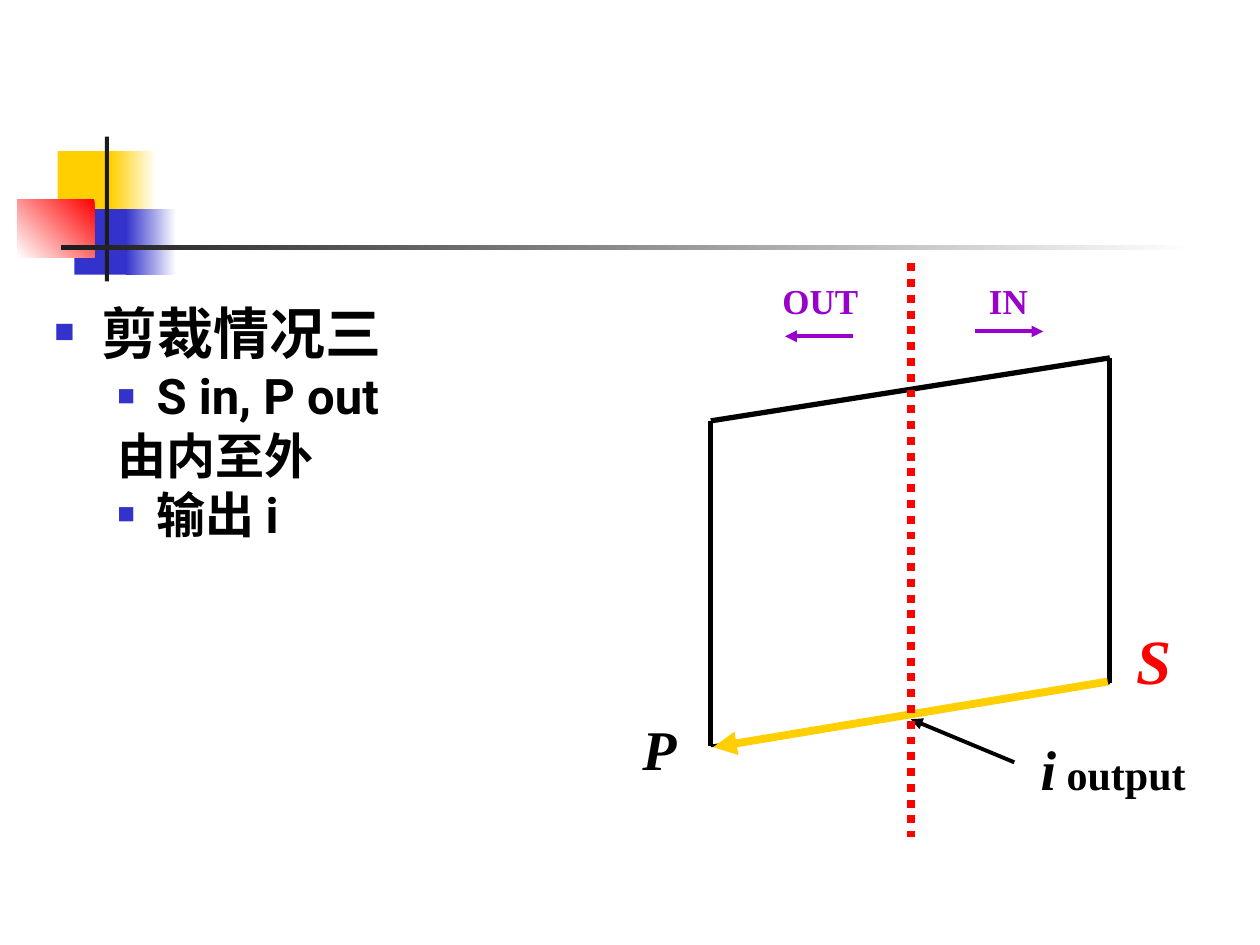
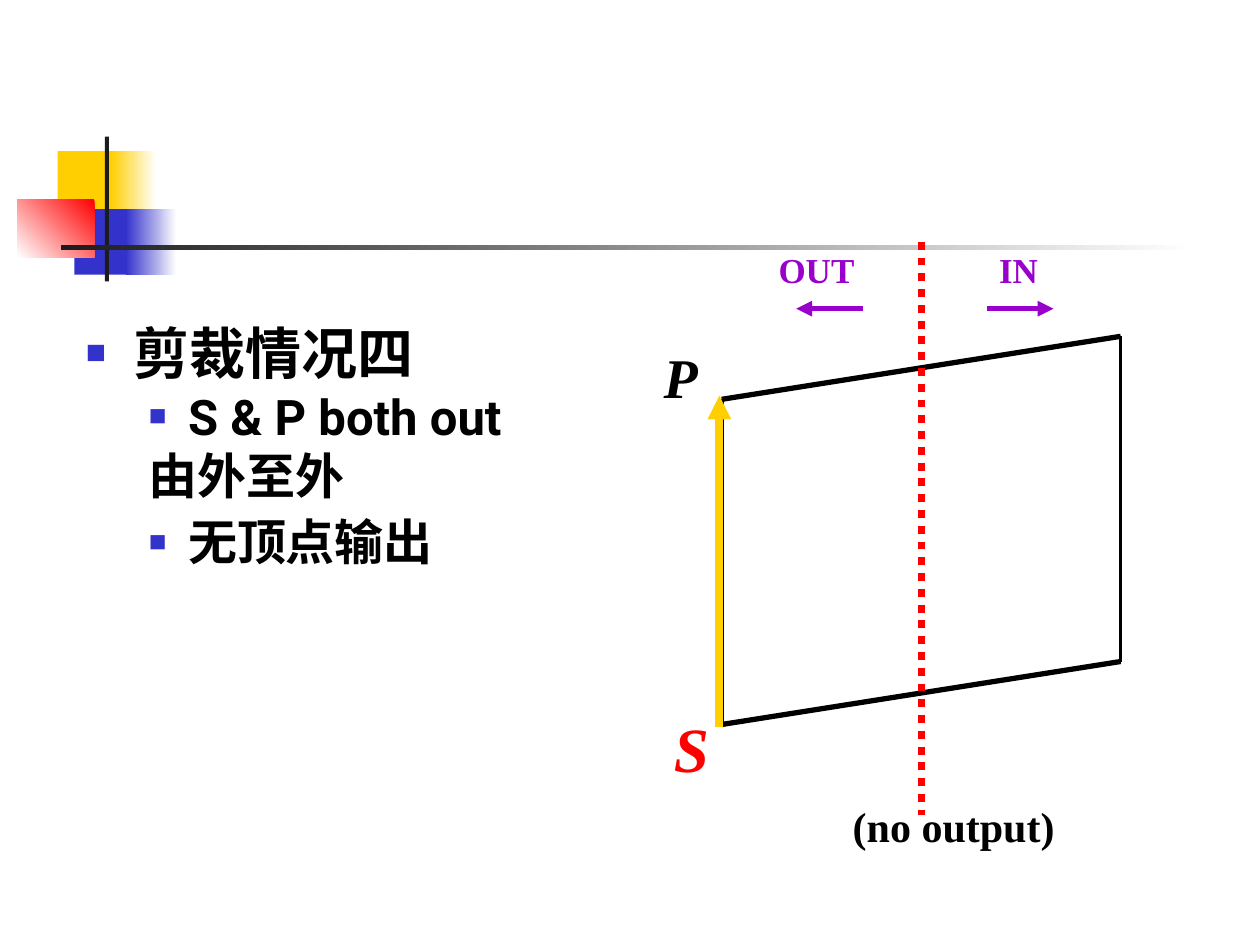
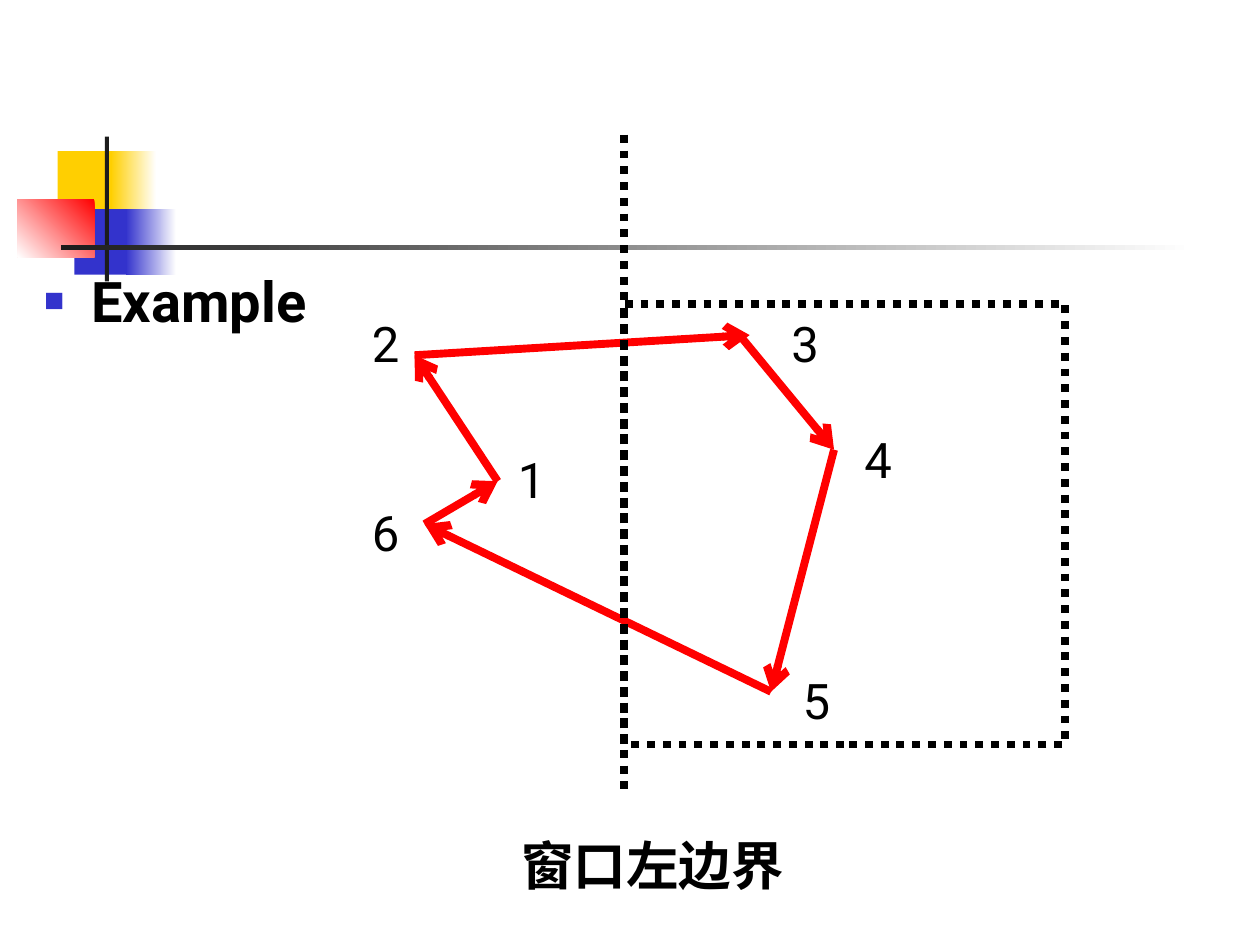
from typing import NamedTuple

from lxml import etree
from pptx import Presentation
from pptx.dml.color import RGBColor
from pptx.enum.dml import MSO_LINE
from pptx.enum.shapes import MSO_CONNECTOR, MSO_SHAPE
from pptx.enum.text import MSO_ANCHOR, MSO_AUTO_SIZE, PP_ALIGN
from pptx.oxml.ns import qn
from pptx.slide import Slide
from pptx.util import Pt

STRAIGHT = MSO_CONNECTOR.STRAIGHT
RECTANGLE = MSO_SHAPE.RECTANGLE
DOTTED = MSO_LINE.ROUND_DOT
FIT_SHAPE = MSO_AUTO_SIZE.SHAPE_TO_FIT_TEXT
FIXED = MSO_AUTO_SIZE.NONE
MIDDLE = MSO_ANCHOR.MIDDLE
TOP = MSO_ANCHOR.TOP
CENTER = PP_ALIGN.CENTER
LEFT = PP_ALIGN.LEFT

COLORS = {
    "black": "000000",
    "white": "FFFFFF",
    "charcoal": "1C1C1C",
    "yellow": "FFCF01",
    "blue": "3333CC",
    "red": "FF0000",
    "purple": "9900CC",
}
SANS = "Roboto"
SERIF = "Times New Roman"

Point = tuple[float, float]


class Band(NamedTuple):
    left: float
    top: float
    width: float
    height: float
    color: str
    fade_to: str = ""
    angle: int = 180


class Stroke(NamedTuple):
    begin: Point
    end: Point
    color: str = "black"
    width: float = 3
    arrow: str = ""
    dotted: bool = False


class Words(NamedTuple):
    text: str
    size: float
    color: str = "black"
    font: str = SERIF
    bold: bool = True
    italic: bool = False


class Label(NamedTuple):
    left: float
    top: float
    width: float
    height: float
    words: tuple[Words, ...]
    inset: Point = (7.2, 3.6)
    wrap: bool = False
    centered: bool = False


class Item(NamedTuple):
    text: str
    level: int = 1
    bullet: bool = True
    space_before: float = 7


class Level(NamedTuple):
    margin: float
    hang: float
    size: float


LEVELS = (Level(27, 27, 32), Level(58.5, 22.5, 28))

BANDS = (
    Band(33, 86.4, 34.6, 37.4, "yellow"),
    Band(63.4, 86.4, 25.9, 37.4, "white", "yellow"),
    Band(42.5, 119.5, 33.1, 37.4, "blue"),
    Band(72, 119.5, 28.8, 37.4, "white", "blue"),
    Band(10, 113.8, 44, 33.1, "red", "white", 225),
    Band(60, 78, 2.2, 82.8, "charcoal"),
    Band(34.6, 140.2, 648, 2.5, "white", "charcoal"),
)


def rgb(name: str) -> RGBColor:
    return RGBColor.from_string(COLORS[name])


def draw_band(slide: Slide, band: Band) -> None:
    shape = slide.shapes.add_shape(
        RECTANGLE, Pt(band.left), Pt(band.top), Pt(band.width), Pt(band.height))
    shape.shadow.inherit = False
    shape.line.fill.background()
    if not band.fade_to:
        shape.fill.solid()
        shape.fill.fore_color.rgb = rgb(band.color)
        return
    shape.fill.gradient()
    shape.fill.gradient_angle = band.angle
    for stop, color in zip(shape.fill.gradient_stops, (band.color, band.fade_to)):
        stop.color.rgb = rgb(color)


def draw_stroke(slide: Slide, stroke: Stroke) -> None:
    connector = slide.shapes.add_connector(
        STRAIGHT, *(Pt(value) for value in stroke.begin + stroke.end))
    line = connector.line
    line.color.rgb = rgb(stroke.color)
    line.width = Pt(stroke.width)
    if stroke.dotted:
        line.dash_style = DOTTED
    properties = connector.element.spPr
    if stroke.arrow:
        etree.SubElement(properties.find(qn("a:ln")), qn("a:tailEnd"), type=stroke.arrow)
    etree.SubElement(properties, qn("a:effectLst"))


def add_words(paragraph, words: Words) -> None:
    run = paragraph.add_run()
    run.text = words.text
    run.font.name = words.font
    run.font.size = Pt(words.size)
    run.font.bold = words.bold
    run.font.italic = words.italic
    run.font.color.rgb = rgb(words.color)


def draw_label(slide: Slide, label: Label) -> None:
    frame = slide.shapes.add_textbox(
        Pt(label.left), Pt(label.top), Pt(label.width), Pt(label.height)).text_frame
    frame.word_wrap = label.wrap
    frame.auto_size = FIT_SHAPE
    frame.margin_left = frame.margin_right = Pt(label.inset[0])
    frame.margin_top = frame.margin_bottom = Pt(label.inset[1])
    frame.vertical_anchor = MIDDLE if label.centered else TOP
    paragraph = frame.paragraphs[0]
    paragraph.alignment = CENTER if label.centered else LEFT
    for words in label.words:
        add_words(paragraph, words)


def set_bullet(paragraph, level: Level, bullet: bool) -> None:
    properties = paragraph._p.get_or_add_pPr()
    properties.set("marL", str(Pt(level.margin)))
    properties.set("indent", str(-Pt(level.hang)))
    if not bullet:
        etree.SubElement(properties, qn("a:buNone"))
        return
    color = etree.SubElement(properties, qn("a:buClr"))
    etree.SubElement(color, qn("a:srgbClr"), val=COLORS["blue"])
    etree.SubElement(properties, qn("a:buSzPct"), val="60000")
    etree.SubElement(properties, qn("a:buChar"), char="■")


def fill_body(slide: Slide, left: float, top: float, width: float, height: float,
              items: tuple[Item, ...]) -> None:
    body = slide.placeholders[1]
    body.left, body.top, body.width, body.height = Pt(left), Pt(top), Pt(width), Pt(height)
    frame = body.text_frame
    frame.auto_size = FIXED
    for number, item in enumerate(items):
        paragraph = frame.add_paragraph() if number else frame.paragraphs[0]
        level = LEVELS[item.level]
        paragraph.level = item.level
        set_bullet(paragraph, level, item.bullet)
        paragraph.line_spacing = 0.8
        paragraph.space_before = Pt(item.space_before if number else 0)
        add_words(paragraph, Words(item.text, level.size, font=SANS))


def start_slide(deck) -> Slide:
    """Add a slide with the shared bands and a body but no title."""
    slide = deck.slides.add_slide(deck.slide_layouts[1])
    title = slide.shapes.title.element
    title.getparent().remove(title)
    for band in BANDS:
        draw_band(slide, band)
    return slide


def window_edges(left: float, top: float, bottom_width: float,
                 right_width: float) -> tuple[Stroke, ...]:
    """Outline a slanted polygon whose upper left corner is given."""
    width, height, slant = 228, 185.8, 36
    upper_left, lower_left = (left, top), (left, top + height)
    upper_right = (left + width, top - slant)
    lower_right = (left + width, top + height - slant)
    return (
        Stroke(upper_left, lower_left),
        Stroke(upper_left, upper_right),
        Stroke(lower_left, lower_right, width=bottom_width),
        Stroke(upper_right, lower_right, width=right_width),
    )


def clip_boundary(left: float, top: float) -> Stroke:
    x = left + 114.2
    return Stroke((x, top - 90), (x, top + 237.6), "red", 4.5, dotted=True)


def side_arrow(x: float, y: float, length: float, width: float) -> Stroke:
    return Stroke((x, y), (x + length, y), "purple", width, "triangle")


def side_label(text: str, left: float, top: float, width: float) -> Label:
    return Label(left, top, width, 31.7, (Words(text, 20, "purple"),))


def start_label(left: float, top: float) -> Label:
    return Label(left, top, 34.6, 50.4, (Words("S", 36, "red", italic=True),))


def end_label(left: float, top: float) -> Label:
    return Label(left, top, 33.8, 46.1, (Words("P", 32, italic=True),))


def draw_all(slide: Slide, strokes: tuple[Stroke, ...], labels: tuple[Label, ...]) -> None:
    for stroke in strokes:
        draw_stroke(slide, stroke)
    for label in labels:
        draw_label(slide, label)


def build_case_three(deck) -> None:
    slide = start_slide(deck)
    fill_body(slide, 23.8, 174.2, 300, 204, (
        Item("剪裁情况三", level=0),
        Item("S in, P out"),
        Item("由内至外", bullet=False),
        Item("输出 i"),
    ))
    left, top = 406.2, 240.5
    strokes = (
        *window_edges(left, top, bottom_width=1.5, right_width=3),
        Stroke((633, 389.5), (407.5, 427), "yellow", 4.5, "triangle"),
        Stroke((579.6, 435.6), (520.5, 411), width=2.25, arrow="triangle"),
        clip_boundary(left, top),
        side_arrow(487.4, 192.2, -38.8, 2.25),
        side_arrow(557.4, 189.4, 38.8, 2.25),
    )
    labels = (
        side_label("IN", 558, 156.2, 36.7),
        side_label("OUT", 440, 156.2, 57.6),
        start_label(642.2, 351.4),
        Label(587.5, 416.2, 97.2, 46.1,
              (Words("i", 32, italic=True), Words(" output", 24))),
        end_label(360, 404.6),
    )
    draw_all(slide, strokes, labels)


def build_case_four(deck) -> None:
    slide = start_slide(deck)
    fill_body(slide, 41.8, 185.8, 300, 204, (
        Item("剪裁情况四", level=0),
        Item("S & P both out"),
        Item("由外至外", bullet=False),
        Item("无顶点输出", space_before=11),
    ))
    left, top = 412.4, 228.2
    strokes = (
        *window_edges(left, top, bottom_width=3, right_width=1.5),
        Stroke((411.1, 415.4), (411.1, 226.1), "yellow", 4.5, "triangle"),
        clip_boundary(left, top),
        side_arrow(493.2, 176.4, -38.2, 3),
        side_arrow(563.8, 176.4, 38.2, 3),
    )
    labels = (
        Label(480.2, 457.2, 130.3, 28.8, (Words("(no output)", 24),),
              inset=(7.2, 0), wrap=True),
        end_label(372.2, 192.2),
        start_label(378, 401.8),
        side_label("IN", 563.8, 138.2, 36.7),
        side_label("OUT", 437.8, 138.2, 57.6),
    )
    draw_all(slide, strokes, labels)


def build_example(deck) -> None:
    slide = start_slide(deck)
    fill_body(slide, 18, 156.2, 318, 60, (Item("Example", level=0),))

    first = (284.4, 275)
    polygon_chains = (
        (first, (236.9, 203), (428.4, 191.5)),
        ((422.6, 191.5), (476.6, 257), (440.6, 395.3), (242.6, 299.5), first),
    )
    edges = tuple(
        Stroke(begin, end, "red", 4.5, "arrow")
        for chain in polygon_chains
        for begin, end in zip(chain, chain[1:])
    )
    number_corners = ((295.9, 257), (212.4, 179.3), (452.2, 179.3),
                      (493.9, 245.5), (458.6, 383), (212.4, 287.3))
    numbers = tuple(
        Label(left, top, 15.8, 33.8, (Words(str(number), 28, font=SANS, bold=False),),
              inset=(0, 0), centered=True)
        for number, (left, top) in enumerate(number_corners, start=1)
    )
    draw_all(slide, edges, numbers)

    window_left, window_top, window_side = 356.4, 173.5, 252
    window = slide.shapes.add_shape(
        RECTANGLE, Pt(window_left), Pt(window_top), Pt(window_side), Pt(window_side))
    window.shadow.inherit = False
    window.fill.background()
    window.line.color.rgb = rgb("black")
    window.line.width = Pt(4.5)
    window.line.dash_style = DOTTED
    draw_stroke(slide, Stroke((window_left, 77), (window_left, 455), width=4.5, dotted=True))
    draw_label(slide, Label(290.9, 472.3, 164.2, 43.2,
                            (Words("窗口左边界", 30, font=SANS),)))


def main() -> None:
    deck = Presentation()
    deck.slide_width, deck.slide_height = Pt(720), Pt(540)
    build_case_three(deck)
    build_case_four(deck)
    build_example(deck)
    deck.save("out.pptx")


if __name__ == "__main__":
    main()
